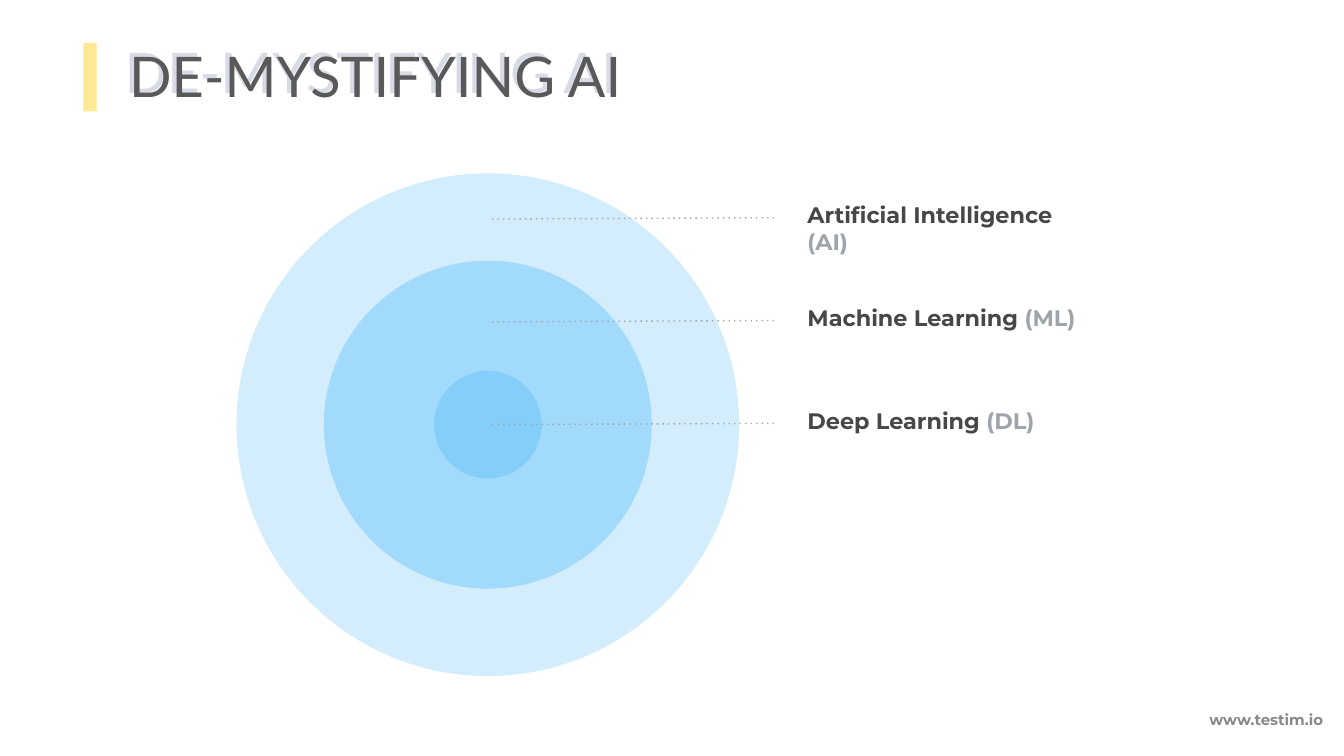
import pptx
import pptx.util
import pptx.dml.color
import pptx.enum.shapes
import pptx.enum.text
import pptx.oxml.ns
from lxml import etree

TITLE = "DE-MYSTIFYING AI"
FOOTER = "www.testim.io"
LEVELS = [
    (("Artificial Intelligence ", "474748"), ("(AI)", "9FA4AB")),
    (("Machine Learning ", "474748"), ("(ML)", "9FA4AB")),
    (("Deep Learning", "474748"), (" (DL)", "9FA4AB")),
]
CIRCLES = [(3.74, 27), (2.44, 42), (0.8, 42)]  # diameter, opacity in percent
SLIDE_WIDTH = 10
SLIDE_HEIGHT = SLIDE_WIDTH * 9 / 16
CENTER_X, CENTER_Y = 3.63, 3.16
LABEL_LEFT, LABEL_TOP, LABEL_STEP = 5.91, 1.4, 0.765
LEADER_START, LEADER_END, LEADER_DROP = 3.66, 5.78, 0.23

inch = pptx.util.Inches
qn = pptx.oxml.ns.qn


def color(value):
    return pptx.dml.color.RGBColor.from_string(value)


def set_text(box, spans, size, font, bold=False, inset=0.1, anchor="TOP"):
    """Fill the first paragraph of a box with (text, colour) runs."""
    frame = box.text_frame
    frame.word_wrap = True
    frame.auto_size = pptx.enum.text.MSO_AUTO_SIZE.NONE
    frame.vertical_anchor = getattr(pptx.enum.text.MSO_ANCHOR, anchor)
    frame.margin_left = frame.margin_right = inch(0.1)
    frame.margin_top = frame.margin_bottom = inch(inset)
    para = frame.paragraphs[0]
    para.alignment = pptx.enum.text.PP_ALIGN.LEFT
    for text, value in spans:
        span = para.add_run()
        span.text = text
        span.font.size = pptx.util.Pt(size)
        span.font.name = font
        span.font.bold = bold
        span.font.color.rgb = color(value)


def add_text(slide, place, *args, **options):
    box = slide.shapes.add_textbox(*map(inch, place))
    set_text(box, *args, **options)
    return box


def add_shape(slide, kind, place, fill, opacity=100):
    shape = slide.shapes.add_shape(kind, *map(inch, place))
    shape.shadow.inherit = False
    shape.fill.solid()
    shape.fill.fore_color.rgb = color(fill)
    shape.line.fill.background()
    if opacity < 100:
        tone = shape._element.spPr.find(".//" + qn("a:srgbClr"))
        etree.SubElement(tone, qn("a:alpha"), val=str(opacity * 1000))


def add_leader(slide, y):
    leader = slide.shapes.add_connector(
        pptx.enum.shapes.MSO_CONNECTOR.STRAIGHT,
        inch(LEADER_START), inch(y), inch(LEADER_END), inch(y - 0.01))
    leader.line.color.rgb = color("9FA4AB")
    leader.line.width = pptx.util.Pt(0.75)
    properties = leader._element.spPr
    etree.SubElement(properties.find(qn("a:ln")), qn("a:prstDash"), val="dot")
    etree.SubElement(properties, qn("a:effectLst"))


def add_title(slide):
    title = slide.shapes.title
    title.left, title.top, title.width, title.height = map(
        inch, (0.86, 0.26, 5.19, 0.48))
    set_text(title, [(TITLE, "595959")], 30, "Lato", inset=0.05)
    echo = add_text(slide, (0.83, 0.29, 3.97, 0.48), [(TITLE, "D8DAE5")],
                    30, "Lato", inset=0.05)
    echo.text_frame.paragraphs[0].line_spacing = 0.9
    title._element.addprevious(echo._element)  # the pale echo lies behind


def main():
    deck = pptx.Presentation()
    deck.slide_width, deck.slide_height = inch(SLIDE_WIDTH), inch(SLIDE_HEIGHT)
    slide = deck.slides.add_slide(deck.slide_layouts[5])
    kinds = pptx.enum.shapes.MSO_SHAPE

    add_title(slide)
    add_shape(slide, kinds.RECTANGLE, (0.62, 0.32, 0.1, 0.51), "FFE894")
    for size, opacity in CIRCLES:
        place = (CENTER_X - size / 2, CENTER_Y - size / 2, size, size)
        add_shape(slide, kinds.OVAL, place, "5DC0FA", opacity)
    for row, spans in enumerate(LEVELS):
        top = LABEL_TOP + row * LABEL_STEP
        add_text(slide, (LABEL_LEFT, top, 2.33, 0.45), spans,
                 12, "Montserrat", bold=True)
        add_leader(slide, top + LEADER_DROP)
    add_text(slide, (8.9, 5.13, 1.11, 0.45), [(FOOTER, "888888")],
             8, "Montserrat", bold=True, anchor="MIDDLE")
    deck.save("out.pptx")


if __name__ == "__main__":
    main()
